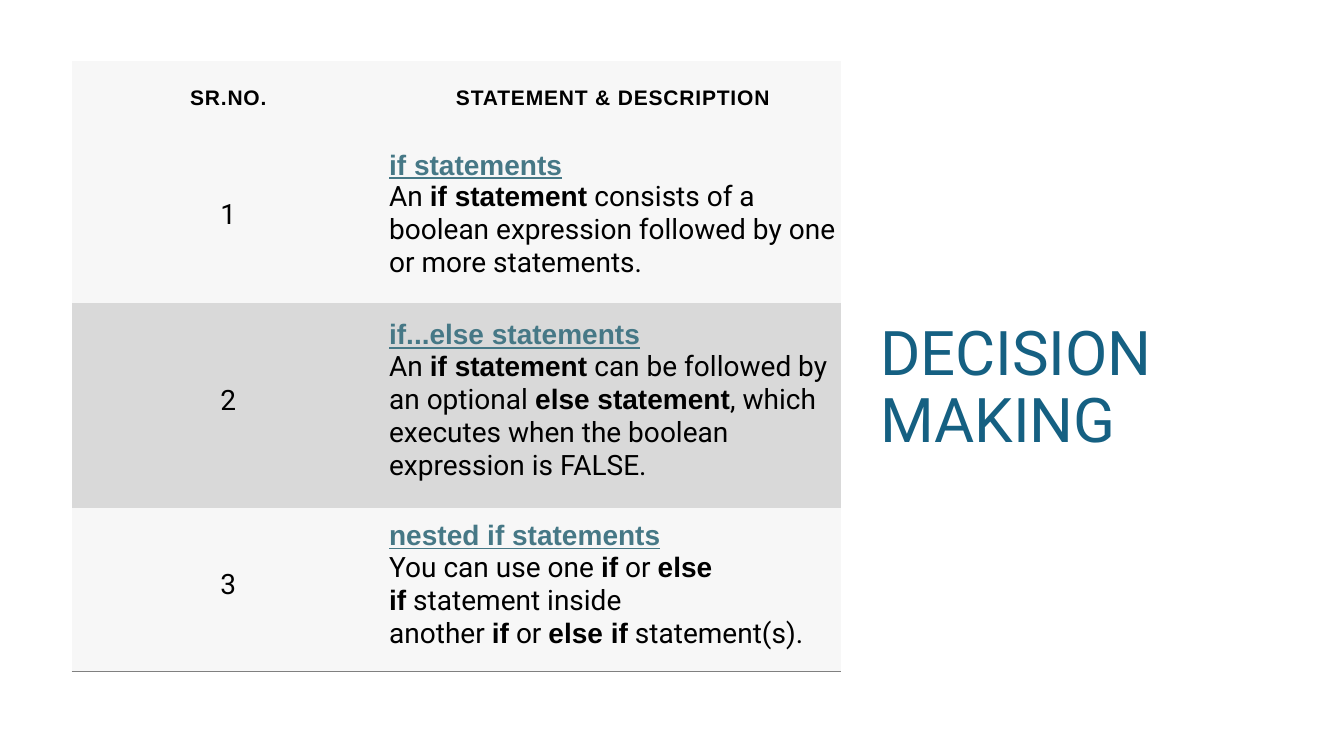
import pptx
import pptx.util
import pptx.dml.color
import pptx.enum.text
import pptx.oxml
import pptx.oxml.ns
from pptx.util import Inches

COLORS = {"title": "156082", "text": "000000", "link": "467886",
          "light": "F7F7F7", "dark": "D9D9D9", "rule": "808080"}
COLS = [3.11, 4.52]
ROWS = [0.73, 1.67, 2.03, 1.62]
HEADS = ["SR.NO.", "STATEMENT & DESCRIPTION"]
ITEMS = [
    ("if statements",
     "An *if statement* consists of a boolean expression "
     "followed by one or more statements."),
    ("if...else statements",
     "An *if statement* can be followed by an optional *else statement*, "
     "which executes when the boolean expression is FALSE."),
    ("nested if statements",
     "You can use one *if* or *else if* statement inside "
     "another *if* or *else if* statement(s)."),
]
PLAIN_PAD = (0.04, 0.04, 0.04, 0.13)
HEAD_PAD = (0.19, 0.19, 0.19, 0.19)
CENTER = pptx.enum.text.PP_ALIGN.CENTER
NO_GRID = "{2D5ABB26-0587-4C30-8999-92F81FD0307C}"


def add_run(para, text, size, color="text", bold=False, line=False):
    """Add one styled run; bold text is set in Arial."""
    run = para.add_run()
    run.text = text
    font = run.font
    font.name = "Arial" if bold else "Roboto"
    font.size = pptx.util.Pt(size)
    font.bold = bold
    font.underline = line
    font.color.rgb = pptx.dml.color.RGBColor.from_string(COLORS[color])
    return run


def add_mixed(para, text):
    """Add text whose starred parts are bold, with firm spaces beside them."""
    parts = text.split("*")
    for i, part in enumerate(parts):
        bold = i % 2 == 1
        if not bold:
            if i > 0 and part.startswith(" "):
                part = "\N{NO-BREAK SPACE}" + part[1:]
            if i < len(parts) - 1 and part.endswith(" "):
                part = part[:-1] + "\N{NO-BREAK SPACE}"
        add_run(para, part, 20, bold=bold)


def set_cell(cell, fill, pad):
    """Set fill, margins and anchor, and return the first paragraph."""
    cell.fill.solid()
    cell.fill.fore_color.rgb = pptx.dml.color.RGBColor.from_string(COLORS[fill])
    cell.margin_left, cell.margin_top, cell.margin_right, cell.margin_bottom = map(Inches, pad)
    cell.vertical_anchor = pptx.enum.text.MSO_ANCHOR.MIDDLE
    return cell.text_frame.paragraphs[0]


def add_rule(cell):
    """Draw the bottom border of a cell."""
    ns = pptx.oxml.ns.nsdecls("a")
    edge = pptx.oxml.parse_xml(
        f'<a:lnB {ns} w="12700"><a:solidFill><a:srgbClr val="{COLORS["rule"]}"/>'
        "</a:solidFill></a:lnB>")
    cell._tc.get_or_add_tcPr().insert(0, edge)


def add_grid(slide):
    """Add the table of statements."""
    frame = slide.shapes.add_table(
        len(ROWS), len(COLS), Inches(0.71), Inches(0.61),
        Inches(sum(COLS)), Inches(sum(ROWS)))
    grid = frame.table
    grid._tbl.tblPr.find(pptx.oxml.ns.qn("a:tableStyleId")).text = NO_GRID
    grid.horz_banding = False
    for col, width in zip(grid.columns, COLS):
        col.width = Inches(width)
    for row, height in zip(grid.rows, ROWS):
        row.height = Inches(height)
    for i, head in enumerate(HEADS):
        para = set_cell(grid.cell(0, i), "light", HEAD_PAD)
        para.alignment = CENTER
        run = add_run(para, head, 15, bold=True)
        run.font._element.set("spc", "60")
    for i, (name, text) in enumerate(ITEMS, 1):
        fill = "light" if i % 2 else "dark"
        para = set_cell(grid.cell(i, 0), fill, PLAIN_PAD)
        para.alignment = CENTER
        add_run(para, str(i), 20)
        cell = grid.cell(i, 1)
        para = set_cell(cell, fill, PLAIN_PAD)
        add_run(para, name, 20, "link", bold=True, line=True)
        add_mixed(cell.text_frame.add_paragraph(), text)
    for i in range(len(COLS)):
        add_rule(grid.cell(len(ITEMS), i))


def add_title(slide, text):
    """Add the slide heading."""
    box = slide.shapes.add_textbox(Inches(8.63), Inches(0.54), Inches(3.72), Inches(4.03))
    frame = box.text_frame
    frame.word_wrap = True
    frame.vertical_anchor = pptx.enum.text.MSO_ANCHOR.BOTTOM
    para = frame.paragraphs[0]
    para.line_spacing = 0.9
    add_run(para, text, 44, "title")


def main():
    """Build the slide and save it."""
    deck = pptx.Presentation()
    deck.slide_width, deck.slide_height = Inches(13.33), Inches(7.5)
    slide = deck.slides.add_slide(deck.slide_layouts[6])
    add_title(slide, "DECISION MAKING")
    add_grid(slide)
    deck.save("out.pptx")


if __name__ == "__main__":
    main()
